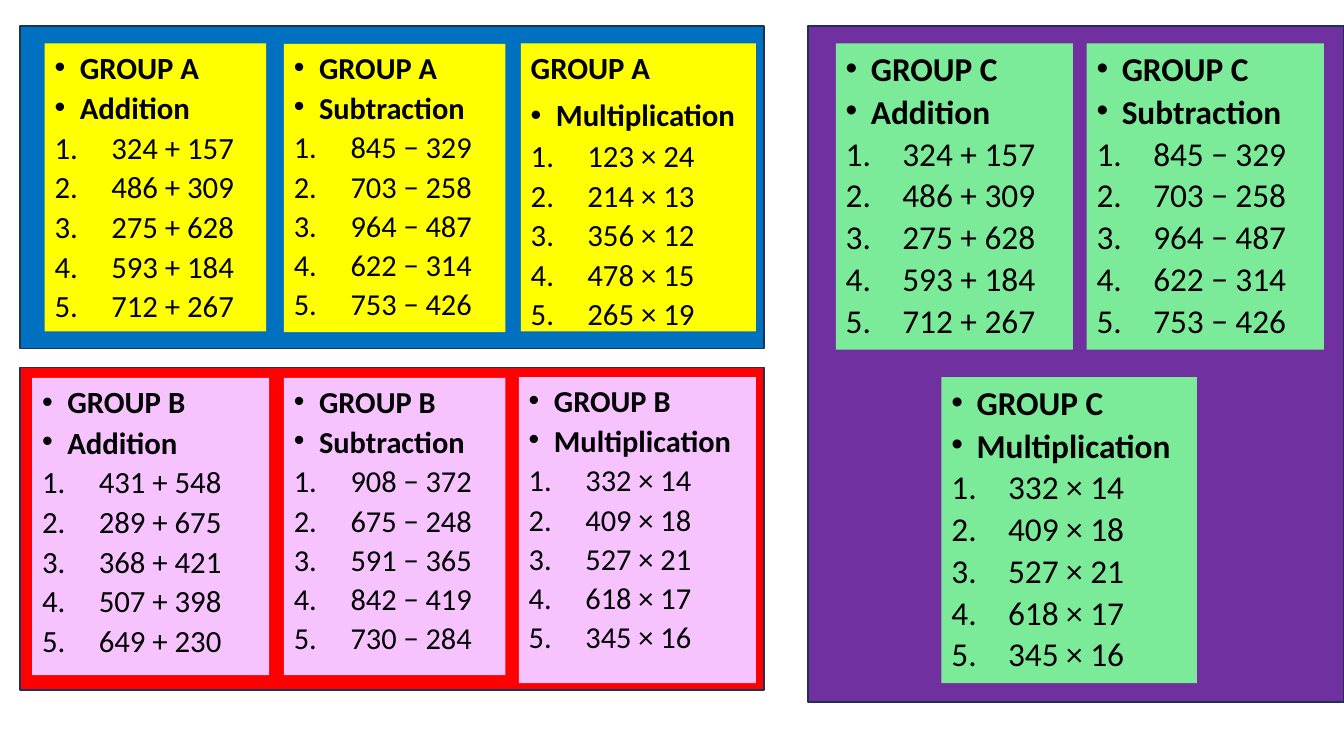
from pptx import Presentation
from pptx.dml.color import RGBColor
from pptx.enum import shapes, text
from pptx.oxml import parse_xml
from pptx.oxml.ns import nsdecls
from pptx.util import Pt

presentation = Presentation()
presentation.slide_width, presentation.slide_height = Pt(960), Pt(540)
slide = presentation.slides.add_slide(presentation.slide_layouts[6])


def add_box(left, top, width, height, fill, line=None):
    shape = slide.shapes.add_shape(
        shapes.MSO_SHAPE.RECTANGLE, Pt(left), Pt(top), Pt(width), Pt(height))
    shape.shadow.inherit = False
    shape.fill.solid()
    shape.fill.fore_color.rgb = RGBColor.from_string(fill)
    if line:
        shape.line.color.rgb = RGBColor.from_string(line)
        shape.line.width = Pt(1)
    else:
        shape.line.fill.background()
    return shape


def set_bullet(paragraph, indent, *tags):
    properties = paragraph._p.get_or_add_pPr()
    properties.set("marL", str(Pt(indent)))
    properties.set("indent", str(-Pt(indent)))
    for tag in tags:
        properties.append(parse_xml(tag.replace(" ", f" {nsdecls('a')} ", 1)))


# Coloured group panels
for left, top, width, height, fill in [
    (577.2, 18.5, 382.8, 483, "7030A0"),
    (14.4, 262.6, 531.4, 230.4, "FF0000"),
    (14.4, 18.5, 531.4, 230.4, "0070C0"),
]:
    add_box(left, top, width, height, fill, "1E3256")

# Exercises shared by several cards
sums = ["324 + 157", "486 + 309", "275 + 628", "593 + 184", "712 + 267"]
differences = ["845 − 329", "703 − 258", "964 − 487", "622 − 314", "753 − 426"]
products = ["332 × 14", "409 × 18", "527 × 21", "618 × 17", "345 × 16"]

card_fills = {"A": "FFFF00", "B": "F6C3FF", "C": "7CEB99"}
cards = [
    ("A", "Addition", (31.9, 31, 158.2, 205.8), 22, sums),
    ("B", "Addition", (23, 270, 169.2, 212.2), 22,
     ["431 + 548", "289 + 675", "368 + 421", "507 + 398", "649 + 230"]),
    ("A", "Subtraction", (202.8, 31.4, 158.2, 205.8), 21.7, differences),
    ("A", "Multiplication", (372, 31, 168, 205.8), 22,
     ["123 × 24", "214 × 13", "356 × 12", "478 × 15", "265 × 19"]),
    ("B", "Subtraction", (202.8, 270, 158.2, 212.2), 21.7,
     ["908 − 372", "675 − 248", "591 − 365", "842 − 419", "730 − 284"]),
    ("B", "Multiplication", (370.6, 269.3, 169.4, 218.7), 21.7, products),
    ("C", "Addition", (597, 31, 169.4, 218.7), 23.8, sums),
    ("C", "Subtraction", (776.2, 31, 169.4, 218.7), 23.8, differences),
    ("C", "Multiplication", (672.5, 269.3, 182.4, 218.7), 23.8, products),
]

# Exercise cards
for group, operation, position, size, exercises in cards:
    frame = add_box(*position, card_fills[group]).text_frame
    frame.word_wrap = True
    frame.vertical_anchor = text.MSO_ANCHOR.TOP
    plain_heading = (group, operation) == ("A", "Multiplication")
    for index, line in enumerate([f"GROUP {group}", operation, *exercises]):
        paragraph = frame.add_paragraph() if index else frame.paragraphs[0]
        paragraph.text = line
        paragraph.alignment = text.PP_ALIGN.LEFT
        paragraph.font.name = "Calibri"
        paragraph.font.size = Pt(size)
        paragraph.font.bold = index < 2
        paragraph.font.color.rgb = RGBColor.from_string("000000")
        loose = plain_heading and index == 1
        if index:
            paragraph.space_before = Pt(7.8 if loose else 9.8)
            paragraph.line_spacing = 1.0 if loose else 0.7
        if index >= 2:
            set_bullet(paragraph, 40.5, '<a:buFont typeface="+mj-lt"/>',
                       '<a:buAutoNum type="arabicPeriod"/>')
        elif index or not plain_heading:
            set_bullet(paragraph, 18, '<a:buFont typeface="Arial"/>',
                       '<a:buChar char="•"/>')

presentation.save("out.pptx")
